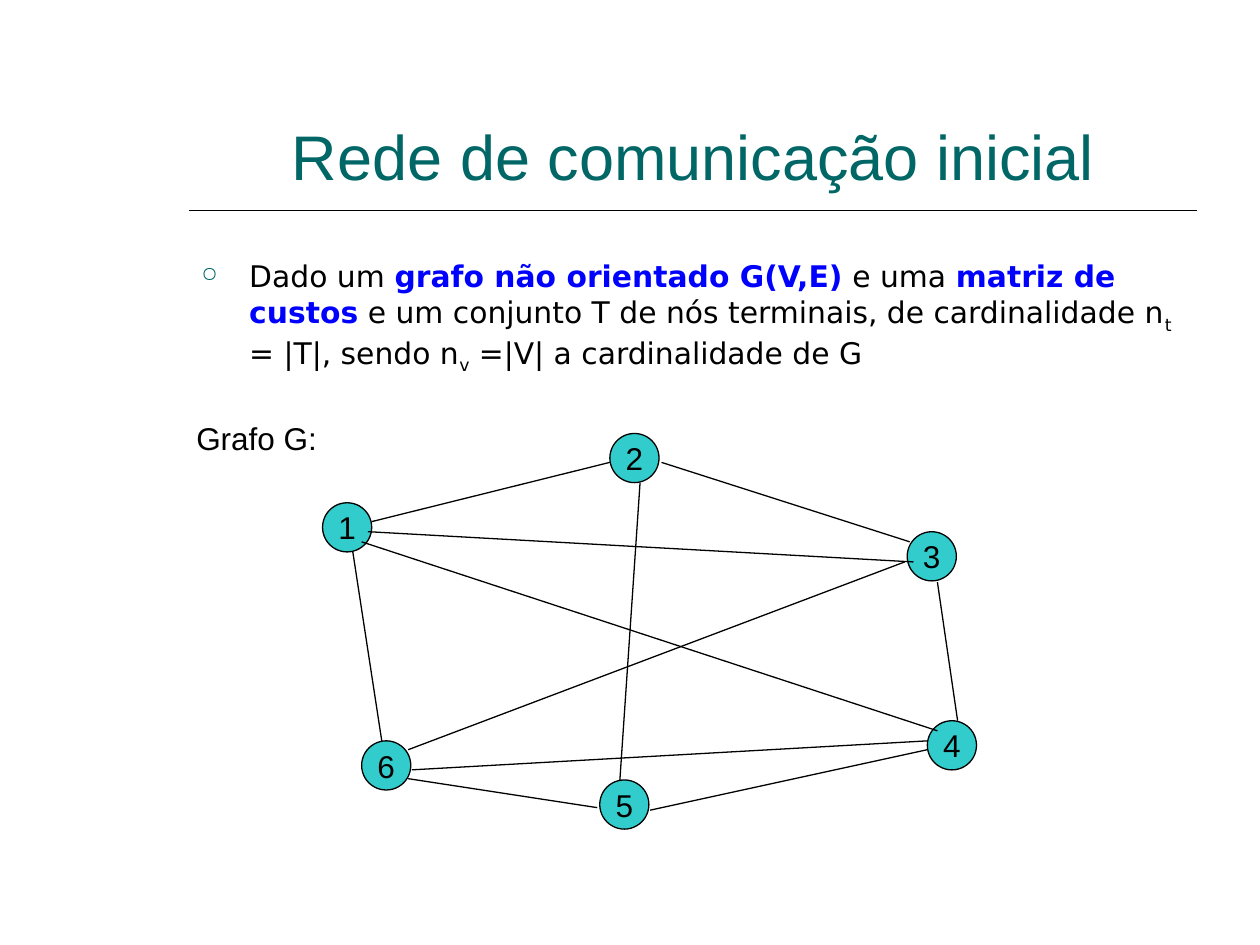
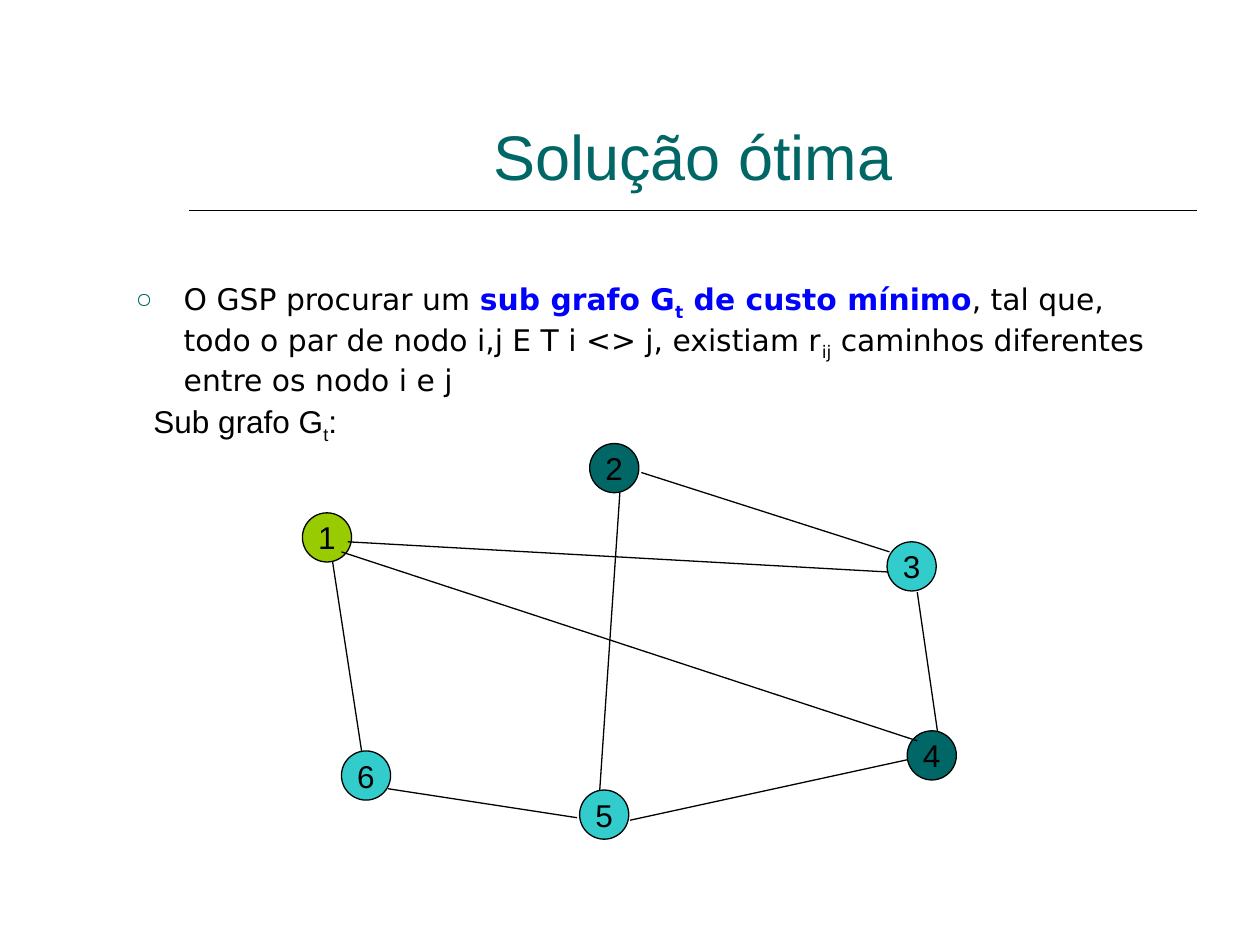
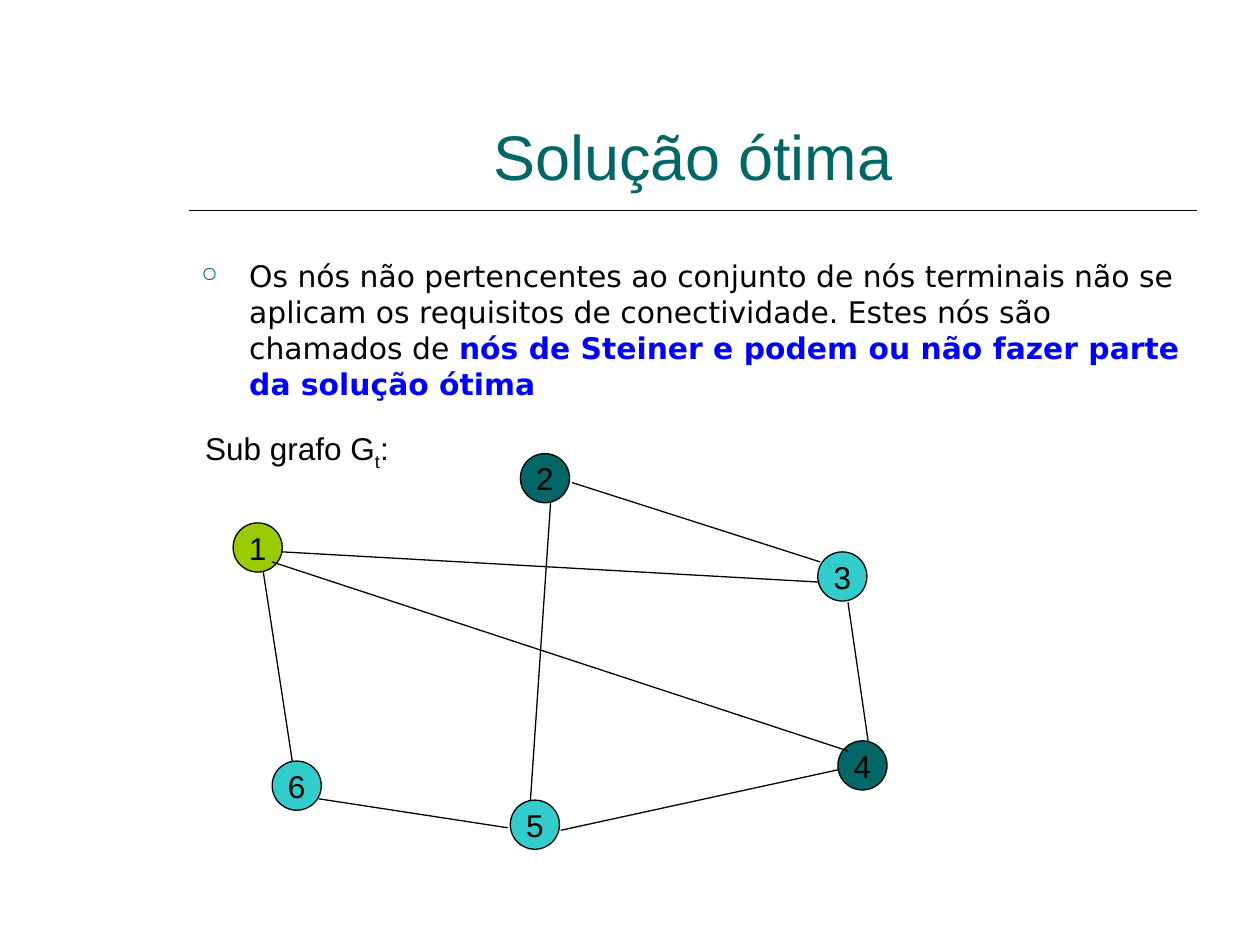
import pptx
import pptx.util
import pptx.dml.color
import pptx.enum.shapes
import pptx.enum.text
import pptx.oxml.ns
import lxml.etree

Inches = pptx.util.Inches
Pt = pptx.util.Pt
RGBColor = pptx.dml.color.RGBColor
ALIGN = pptx.enum.text.PP_ALIGN
ANCHOR = pptx.enum.text.MSO_ANCHOR
FIT = pptx.enum.text.MSO_AUTO_SIZE
qn = pptx.oxml.ns.qn

BLACK = RGBColor(0x00, 0x00, 0x00)
BLUE = RGBColor(0x00, 0x00, 0xFF)
TEAL = RGBColor(0x00, 0x66, 0x66)
AQUA = RGBColor(0x33, 0xCC, 0xCC)
LIME = RGBColor(0x99, 0xCC, 0x00)

# Graph: node corners and edge ends, shifted as a whole on each slide
SIZE = 0.39
NODES = {1: (2.56, 3.99), 2: (4.84, 3.44), 3: (7.2, 4.22),
         4: (7.36, 5.72), 5: (4.76, 6.19), 6: (2.87, 5.88)}
EDGES = {
    "1-2": (2.95, 4.14, 4.84, 3.67),
    "1-6": (2.8, 4.38, 3.03, 5.88),
    "6-5": (3.24, 6.18, 4.74, 6.41),
    "5-4": (5.16, 6.43, 7.36, 5.95),
    "4-3": (7.6, 5.72, 7.44, 4.62),
    "2-3": (5.25, 3.67, 7.22, 4.3),
    "2-5": (5.08, 3.83, 4.92, 6.19),
    "1-4": (2.87, 4.3, 7.44, 5.8),
    "1-3": (2.92, 4.22, 7.25, 4.46),
    "3-6": (3.24, 5.95, 7.18, 4.46),
    "6-4": (3.27, 6.11, 7.36, 5.88),
}
CUT = {"1-2", "3-6", "6-4"}
ROLES = {1: LIME, 2: TEAL, 4: TEAL}
SUB = [("Sub grafo G", ""), ("t", "s"), (":", "")]

# Run styles: b is bold blue, s is subscript
SLIDES = [
    dict(title="Rede de comunicação inicial", body=(1.5, 2, 8, 1.03),
         text=[("Dado um ", ""), ("grafo não orientado G(V,E)", "b"),
               (" e uma ", ""), ("matriz de custos", "b"),
               (" e um conjunto T de nós terminais, de cardinalidade n", ""),
               ("t", "s"), (" = |T|, sendo n", ""), ("v", "s"),
               (" =|V| a cardinalidade de G", "")],
         shift=(0, 0), fills={}, cut=set(), ends={},
         label=[("Grafo G:", "")], spot=(1.46, 3.28, 1.16, 0.4)),
    dict(title="Solução ótima", body=(0.98, 2.18, 8.38, 1.51),
         text=[("O GSP procurar um ", ""), ("sub grafo G", "b"), ("t", "bs"),
               (" de custo mínimo", "b"),
               (", tal que, todo o par de nodo i,j E T i <> j, existiam r", ""),
               ("ij", "s"), (" caminhos diferentes entre os nodo i e j", "")],
         shift=(-0.16, 0.08), fills=ROLES, cut=CUT,
         ends={"1-3": (2.92, 4.22, 7.21, 4.46)},
         label=SUB, spot=(1.12, 3.14, 1.66, 0.44)),
    dict(title="Solução ótima", body=(1.5, 2, 8, 1.43),
         text=[("Os nós não pertencentes ao conjunto de nós terminais não se "
                "aplicam os requisitos de conectividade. Estes nós são "
                "chamados de ", ""),
               ("nós de Steiner e podem ou não fazer parte da solução ótima", "b")],
         shift=(-0.71, 0.16), fills=ROLES, cut=CUT,
         ends={"1-3": (2.95, 4.22, 7.21, 4.46)},
         label=SUB, spot=(1.53, 3.36, 1.73, 0.44)),
]


def write(shape, runs, size, font="Arial", color=BLACK, align=ALIGN.LEFT,
          wrap=True, bullet=False):
    frame = shape.text_frame
    frame.word_wrap = wrap
    para = frame.paragraphs[0]
    para.alignment = align
    if bullet:
        props = para._p.get_or_add_pPr()
        props.set("marL", str(Inches(0.38)))
        props.set("indent", str(-Inches(0.38)))
        tint = lxml.etree.SubElement(props, qn("a:buClr"))
        lxml.etree.SubElement(tint, qn("a:srgbClr"), val=str(TEAL))
        lxml.etree.SubElement(props, qn("a:buSzPct"), val="70000")
        lxml.etree.SubElement(props, qn("a:buChar"), char="○")
    para.font.size = Pt(size)
    para.font.name = font
    para.font.color.rgb = color
    for text, style in runs:
        run = para.add_run()
        run.text = text
        if "b" in style:
            run.font.bold = True
            run.font.color.rgb = BLUE
        if "s" in style:
            run._r.get_or_add_rPr().set("baseline", "-25000")


def link(slide, ends, width):
    line = slide.shapes.add_connector(
        pptx.enum.shapes.MSO_CONNECTOR.STRAIGHT, *map(Inches, ends))
    line.line.color.rgb = BLACK
    line.line.width = Pt(width)
    lxml.etree.SubElement(line._element.spPr, qn("a:effectLst"))


deck = pptx.Presentation()
deck.slide_width = Inches(10)
deck.slide_height = Inches(7.5)

for page in SLIDES:
    slide = deck.slides.add_slide(deck.slide_layouts[6])
    shapes = slide.shapes

    # Title and rule
    link(slide, (1.5, 1.67, 9.5, 1.67), 1)
    title = shapes.add_textbox(*map(Inches, (1.5, 0.33, 8, 1.25)))
    title.text_frame.vertical_anchor = ANCHOR.BOTTOM
    write(title, [(page["title"], "")], 36, color=TEAL, align=ALIGN.CENTER)

    # Body
    body = shapes.add_textbox(*map(Inches, page["body"]))
    write(body, page["text"], 17, font="DejaVu Sans", bullet=True)

    # Nodes
    dx, dy = page["shift"]
    for num, (x, y) in NODES.items():
        node = shapes.add_shape(
            pptx.enum.shapes.MSO_SHAPE.OVAL,
            *map(Inches, (x + dx, y + dy, SIZE, SIZE)))
        node.shadow.inherit = False
        node.fill.solid()
        node.fill.fore_color.rgb = page["fills"].get(num, AQUA)
        node.line.color.rgb = BLACK
        node.line.width = Pt(0.75)
        node.text_frame.vertical_anchor = ANCHOR.MIDDLE
        write(node, [(str(num), "")], 18, align=ALIGN.CENTER, wrap=False)

    # Edges
    for name, ends in EDGES.items():
        if name not in page["cut"]:
            x1, y1, x2, y2 = page["ends"].get(name, ends)
            link(slide, (x1 + dx, y1 + dy, x2 + dx, y2 + dy), 0.75)

    # Graph label
    label = shapes.add_textbox(*map(Inches, page["spot"]))
    label.text_frame.auto_size = FIT.SHAPE_TO_FIT_TEXT
    write(label, page["label"], 18, wrap=False)

deck.save("out.pptx")
